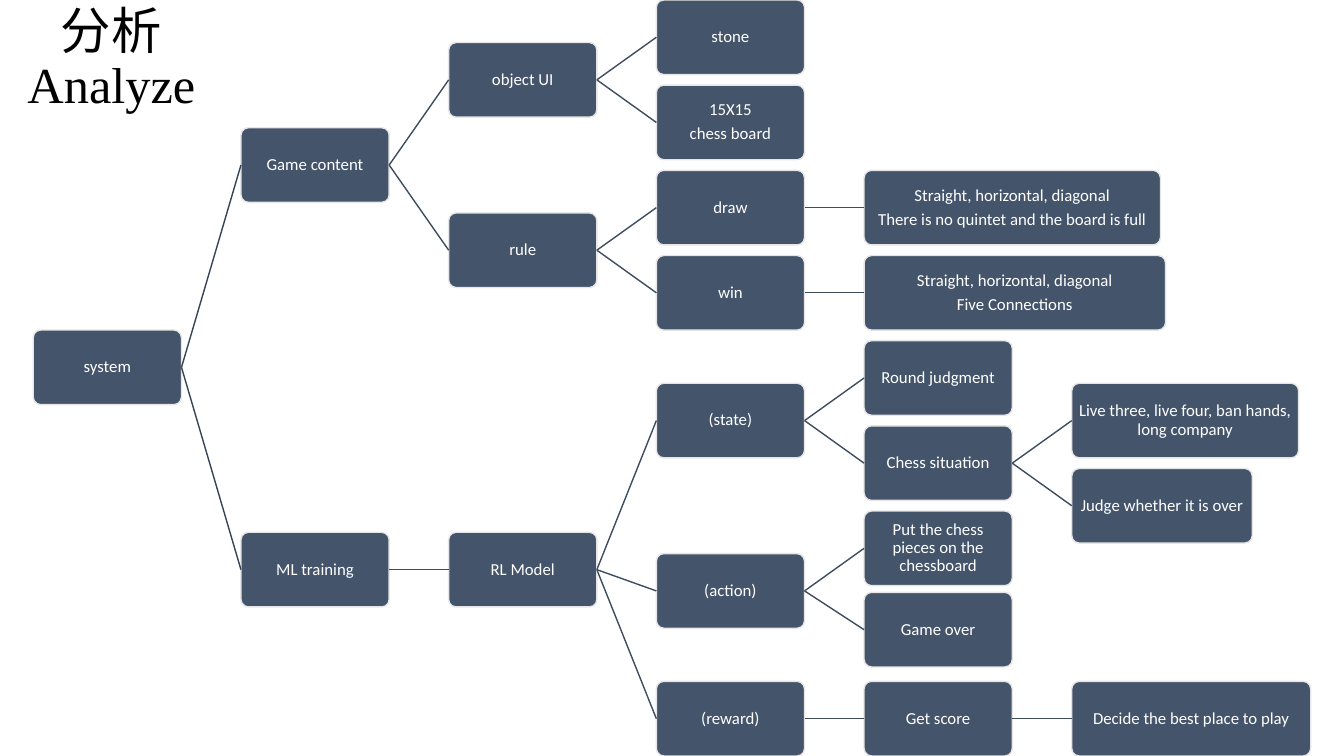
from dataclasses import dataclass, field

from lxml import etree
from pptx import Presentation
from pptx.dml.color import RGBColor
from pptx.enum.shapes import MSO_CONNECTOR as Connector, MSO_SHAPE as Shape
from pptx.enum.text import MSO_ANCHOR as Anchor, MSO_AUTO_SIZE as AutoSize, PP_ALIGN as Align
from pptx.oxml.ns import qn
from pptx.util import Inches, Pt

COLORS = {
    "box": "44546A",
    "border": "E7E6E6",
    "root_link": "364355",
    "link": "3E4C60",
    "box_text": "FFFFFF",
    "title": "000000",
}

# Tree grid: one column per level, rows at half the pitch of stacked boxes
LEFT = 0.33
COLUMN_STEP = 2.06
ROW_STEP = 6.76 / 16
BOX_WIDTH = 1.47
BOX_HEIGHT = 0.74
LEFT_SITE, RIGHT_SITE = 1, 3


@dataclass
class Node:
    text: str
    row: float
    children: list = field(default_factory=list)
    width: float = BOX_WIDTH


GAME_CONTENT = Node("Game content", 3, [
    Node("object UI", 1, [
        Node("stone", 0),
        Node("15X15\nchess board", 2),
    ]),
    Node("rule", 5, [
        Node("draw", 4, [
            Node("Straight, horizontal, diagonal\n"
                 "There is no quintet and the board is full", 4, width=2.94),
        ]),
        Node("win", 6, [
            Node("Straight, horizontal, diagonal\nFive Connections", 6, width=2.99),
        ]),
    ]),
])

ML_TRAINING = Node("ML training", 12.5, [
    Node("RL Model", 12.5, [
        Node("(state)", 9, [
            Node("Round judgment", 8),
            Node("Chess situation", 10, [
                Node("Live three, live four, ban hands, long company", 9, width=2.25),
                Node("Judge whether it is over", 11, width=1.79),
            ]),
        ]),
        Node("(action)", 13, [
            Node("Put the chess pieces on the chessboard", 12),
            Node("Game over", 13.91),
        ]),
        Node("(reward)", 16, [
            Node("Get score", 16, [
                Node("Decide the best place to play", 16, width=2.37),
            ]),
        ]),
    ]),
])

SYSTEM = Node("system", 7.75, [GAME_CONTENT, ML_TRAINING])


def color(name):
    return RGBColor.from_string(COLORS[name])


def write_text(frame, paragraphs, *, font, size, color_name, space_after=0, inset=None):
    """Fill a text frame with centred paragraphs."""
    frame.word_wrap = True
    frame.auto_size = AutoSize.NONE
    frame.vertical_anchor = Anchor.MIDDLE
    if inset is not None:
        frame.margin_left = frame.margin_right = Inches(inset)
        frame.margin_top = frame.margin_bottom = Inches(inset)
    for index, text in enumerate(paragraphs):
        paragraph = frame.add_paragraph() if index else frame.paragraphs[0]
        paragraph.text = text
        paragraph.alignment = Align.CENTER
        paragraph.line_spacing = 0.9
        paragraph.space_before = Pt(0)
        paragraph.space_after = Pt(space_after)
        for run in paragraph.runs:
            run.font.name = font
            run.font.size = Pt(size)
            run.font.color.rgb = color(color_name)


def add_title(slide, text):
    title = slide.shapes.title
    title.left, title.top = Inches(0), Inches(0)
    title.width, title.height = Inches(2.21), Inches(1.19)
    write_text(title.text_frame, [text], font="Times New Roman", size=36, color_name="title")


def add_box(slide, node, level):
    box = slide.shapes.add_shape(
        Shape.ROUNDED_RECTANGLE,
        Inches(LEFT + level * COLUMN_STEP), Inches(node.row * ROW_STEP),
        Inches(node.width), Inches(BOX_HEIGHT))
    box.adjustments[0] = 0.1
    box.shadow.inherit = False
    box.fill.solid()
    box.fill.fore_color.rgb = color("box")
    box.line.color.rgb = color("border")
    box.line.width = Pt(1)
    write_text(box.text_frame, node.text.split("\n"), font="Calibri", size=12,
               color_name="box_text", space_after=4.2, inset=0.03)
    return box


def add_link(slide, parent_box, child_box, color_name):
    link = slide.shapes.add_connector(Connector.STRAIGHT, 0, 0, 0, 0)
    link.begin_connect(parent_box, RIGHT_SITE)
    link.end_connect(child_box, LEFT_SITE)
    link.line.color.rgb = color(color_name)
    link.line.width = Pt(1)
    etree.SubElement(link._element.spPr, qn("a:effectLst"))


def add_tree(slide, node, level=0):
    """Draw a node and its branches, and return the node's box."""
    box = add_box(slide, node, level)
    for child in node.children:
        child_box = add_tree(slide, child, level + 1)
        add_link(slide, box, child_box, "link" if level else "root_link")
    return box


def main():
    presentation = Presentation()
    presentation.slide_width = Inches(13.33)
    presentation.slide_height = Inches(7.5)
    title_only = presentation.slide_layouts[5]
    slide = presentation.slides.add_slide(title_only)

    add_title(slide, "分析\vAnalyze")
    add_tree(slide, SYSTEM)

    presentation.save("out.pptx")


if __name__ == "__main__":
    main()
